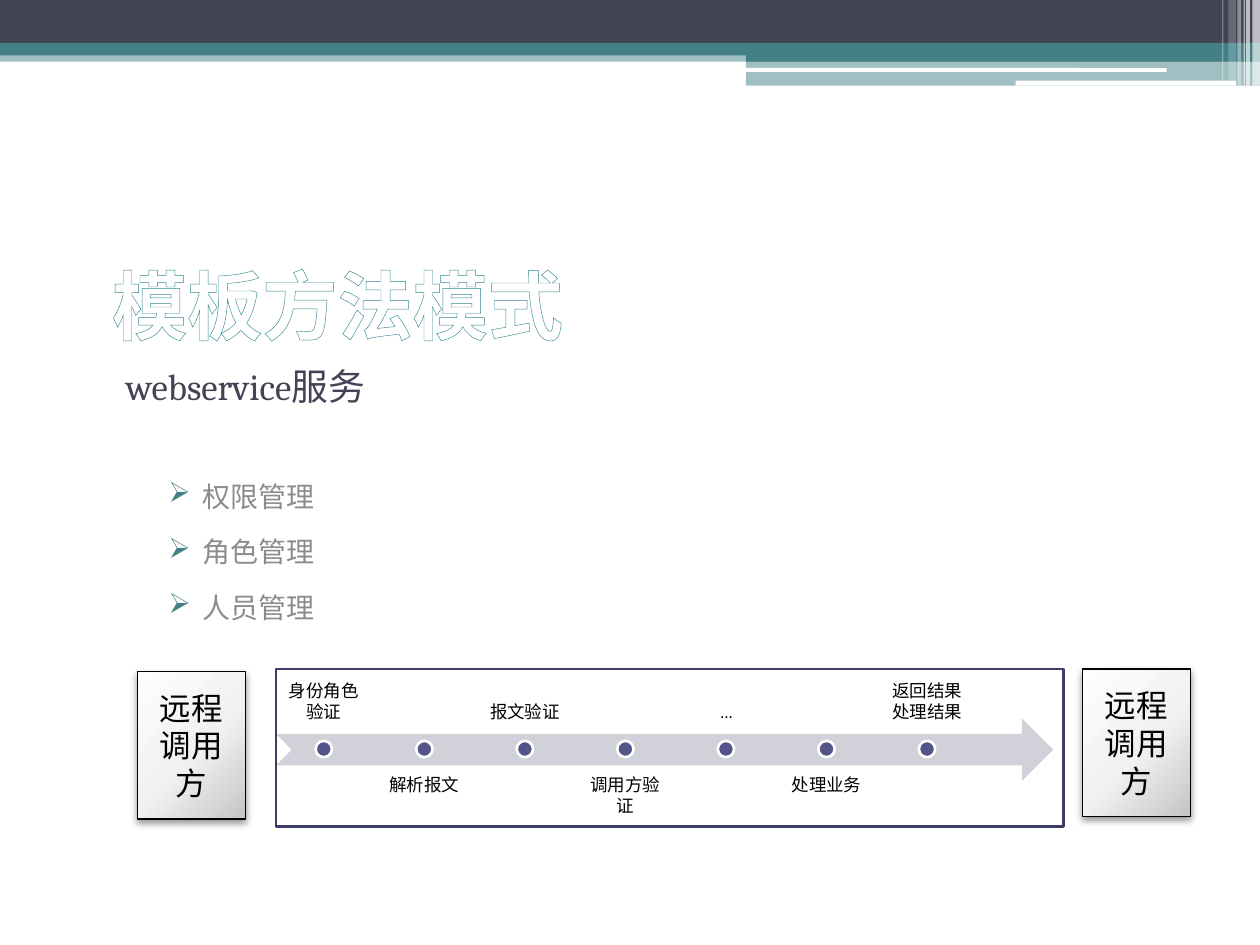
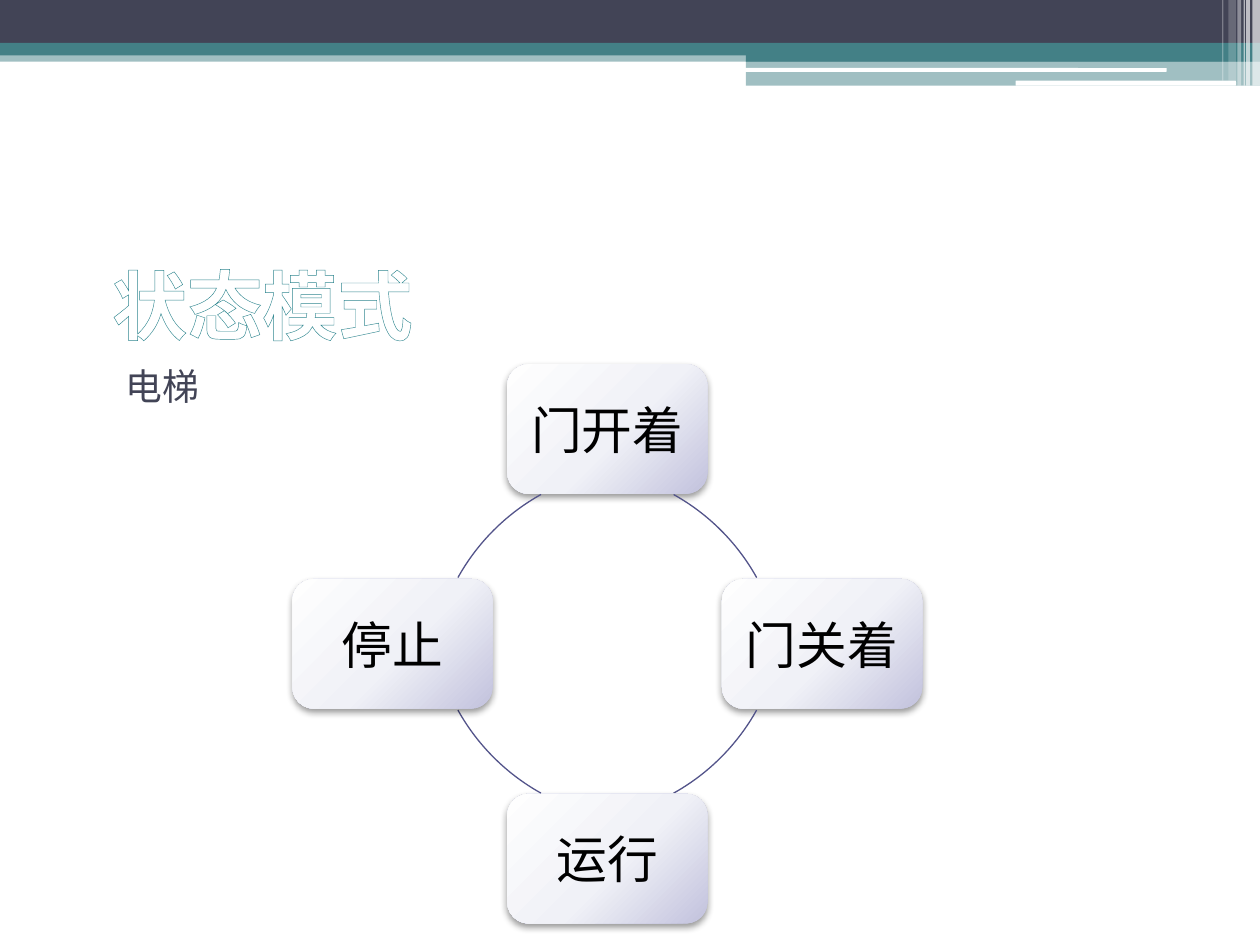
import math
from dataclasses import dataclass

import lxml.etree
import pptx
import pptx.dml.color
import pptx.enum.shapes
import pptx.enum.text
import pptx.oxml.ns
import pptx.util

SHAPE = pptx.enum.shapes.MSO_SHAPE
ALIGN = pptx.enum.text.PP_ALIGN
ANCHOR = pptx.enum.text.MSO_ANCHOR
COLUMNS, ROWS = 100, 75  # square grid cells over the whole slide


@dataclass(frozen=True)
class Theme:
    navy: str = "424456"
    teal: str = "438086"
    outline: str = "308790"
    white: str = "FFFFFF"
    black: str = "000000"
    grey: str = "8C8C8C"
    violet: str = "53548A"
    frame: str = "3D3E66"
    arrow: str = "D1D1DA"
    grey_sheen: tuple = ((0, "FEFEFE"), (55, "F1F1F1"), (100, "C5C5C5"))
    violet_sheen: tuple = ((0, "FEFEFE"), (55, "F0F1F7"), (100, "C2C2DD"))
    heading_font: str = "Cabin"
    body_font: str = "Cambria"
    title: int = 43
    subtitle: int = 21
    bullet: int = 16
    step: int = 10
    caller: int = 18
    state: int = 29


def rgb(code):
    return pptx.dml.color.RGBColor.from_string(code)


def add_xml(parent, tag, **attributes):
    child = lxml.etree.SubElement(parent, pptx.oxml.ns.qn(tag))
    for name, value in attributes.items():
        child.set(name, str(value))
    return child


class Deck:
    def __init__(self, theme):
        self.theme = theme
        self.presentation = pptx.Presentation()
        self.presentation.slide_width = pptx.util.Inches(10)
        self.presentation.slide_height = pptx.util.Inches(7.5)
        self.slide = None

    def cells(self, left, top, width, height):
        column = self.presentation.slide_width / COLUMNS
        row = self.presentation.slide_height / ROWS
        return [round(n * unit) for n, unit in
                zip((left, top, width, height), (column, row, column, row))]

    def shape(self, kind, box, fill=None, opacity=100, line=None, weight=1.5):
        shape = self.slide.shapes.add_shape(kind, *self.cells(*box))
        shape.shadow.inherit = False
        if fill:
            shape.fill.solid()
            shape.fill.fore_color.rgb = rgb(fill)
            if opacity < 100:
                colour = shape._element.spPr.find(".//" + pptx.oxml.ns.qn("a:srgbClr"))
                add_xml(colour, "a:alpha", val=opacity * 1000)
        else:
            shape.fill.background()
        if line:
            shape.line.color.rgb = rgb(line)
            shape.line.width = pptx.util.Pt(weight)
        else:
            shape.line.fill.background()
        return shape

    def raised(self, kind, box, sheen, text, size, inset, line=None):
        """A shaded card with a soft shadow and centred text."""
        card = self.shape(kind, box, line=line, weight=0.75)
        properties = card._element.spPr
        gradient = lxml.etree.Element(pptx.oxml.ns.qn("a:gradFill"), rotWithShape="1")
        stops = add_xml(gradient, "a:gsLst")
        for position, colour in sheen:
            stop = add_xml(stops, "a:gs", pos=position * 1000)
            add_xml(stop, "a:srgbClr", val=colour)
        circle = add_xml(gradient, "a:path", path="circle")
        add_xml(circle, "a:fillToRect", l=-40000, t=-90000, r=140000, b=190000)
        properties.replace(properties.find(pptx.oxml.ns.qn("a:noFill")), gradient)
        effects = properties.find(pptx.oxml.ns.qn("a:effectLst"))
        shadow = add_xml(effects, "a:outerShdw", blurRad=pptx.util.Pt(4.1),
                         dist=pptx.util.Pt(2), dir=90 * 60000, rotWithShape=0)
        add_xml(add_xml(shadow, "a:srgbClr", val=self.theme.black), "a:alpha", val=40000)
        self.frame_setup(card.text_frame, ANCHOR.MIDDLE, inset)
        self.paragraph(card.text_frame, text, size, self.theme.black, align=ALIGN.CENTER)

    def frame_setup(self, frame, anchor, inset=None):
        frame.word_wrap = True
        frame.vertical_anchor = anchor
        if inset is not None:
            frame.margin_left = frame.margin_right = pptx.util.Inches(inset)
            frame.margin_top = frame.margin_bottom = pptx.util.Inches(inset)

    def text_box(self, box, anchor=ANCHOR.TOP, inset=None):
        frame = self.slide.shapes.add_textbox(*self.cells(*box)).text_frame
        self.frame_setup(frame, anchor, inset)
        return frame

    def paragraph(self, frame, text, size, colour, align=ALIGN.LEFT, before=0,
                  indent=0, hanging=0, bullet=None):
        first = frame.paragraphs[0]
        line = first if not first.runs else frame.add_paragraph()
        line.add_run().text = text
        line.alignment = align
        line.space_before = pptx.util.Pt(before)
        properties = line._p.get_or_add_pPr()
        properties.set("marL", str(pptx.util.Inches(indent)))
        properties.set("indent", str(pptx.util.Inches(-hanging)))
        if bullet:
            line.level = 1
            line.line_spacing = 1.5
            add_xml(add_xml(properties, "a:buClr"), "a:srgbClr", val=self.theme.teal)
            add_xml(properties, "a:buChar", char=bullet)
        line.font.name = self.theme.body_font
        line.font.size = pptx.util.Pt(size)
        line.font.color.rgb = rgb(colour)
        return line

    def banner(self):
        t = self.theme
        # Full-width bands and the stepped block at the right
        for box, colour, opacity in (
                ((0, 4, 100, 0.9), t.teal, 50),
                ((0, 0, 100, 3.4), t.navy, 100),
                ((0, 3.4, 100, 1), t.teal, 100),
                ((59.2, 3.9, 40.8, 1), t.teal, 100),
                ((59.2, 4.8, 40.8, 2), t.teal, 50)):
            self.shape(SHAPE.RECTANGLE, box, colour, opacity)
        for box in ((59.1, 5.4, 33.5, 0.3), (80.6, 6.4, 17.5, 0.4)):
            self.shape(SHAPE.ROUNDED_RECTANGLE, box, t.white)
        # Translucent stripes in the corner
        for left, width, height, opacity in (
                (99.4, 0.6, 6.8, 65), (98.9, 0.3, 6.8, 65), (98.7, 0.1, 6.8, 60),
                (98.2, 0.3, 6.8, 40), (97.5, 0.6, 6.4, 20), (97, 0.1, 6.4, 30)):
            self.shape(SHAPE.RECTANGLE, (left, 0, width, height), t.white, opacity)

    def new_slide(self, title, subtitle, body_height):
        """Start a slide with banner, title and subtitle; return the body text."""
        t = self.theme
        self.slide = self.presentation.slides.add_slide(
            self.presentation.slide_layouts[6])
        self.banner()
        heading = self.paragraph(self.text_box((7.9, 13.3, 85, 14.9), ANCHOR.BOTTOM),
                                 title, t.title, t.white)
        heading.font.name = t.heading_font
        heading.font.bold = True
        letters = heading.runs[0]
        letters.font.color.rgb = rgb(t.white)
        outline = lxml.etree.Element(pptx.oxml.ns.qn("a:ln"), w=str(pptx.util.Pt(1)))
        add_xml(add_xml(outline, "a:solidFill"), "a:srgbClr", val=t.outline)
        letters._r.get_or_add_rPr().insert(0, outline)
        body = self.text_box((7.9, 28.4, 85, body_height))
        self.paragraph(body, subtitle, t.subtitle, t.navy, before=3, indent=0.11)
        return body

    def timeline(self, steps, left, top, pitch):
        t = self.theme
        self.shape(SHAPE.NOTCHED_RIGHT_ARROW, (left, top + 3.9, 61.7, 5), t.arrow)
        for i, step in enumerate(steps):
            x = left + i * pitch
            below = i % 2 == 1
            label = self.text_box((x, top + (7.5 if below else 0), 7.6, 5),
                                  ANCHOR.TOP if below else ANCHOR.BOTTOM, 0.08)
            self.paragraph(label, step, t.step, t.black, align=ALIGN.CENTER)
            self.shape(SHAPE.OVAL, (x + 3.15, top + 5.7, 1.3, 1.3), t.violet,
                       line=t.white)

    def cycle(self, states, centre_x, centre_y, radius):
        t = self.theme
        width, height = 15.9, 10.3
        turn = 360 / len(states)
        for i, state in enumerate(states):
            angle = math.radians(i * turn - 90)
            x = centre_x + radius * math.cos(angle)
            y = centre_y + radius * math.sin(angle)
            self.raised(SHAPE.ROUNDED_RECTANGLE,
                        (x - width / 2, y - height / 2, width, height),
                        t.violet_sheen, state, t.state, 0.05)
            # Each link is an arc whose centre is pulled inwards
            inward = math.radians(i * turn + 135)
            x = centre_x + 4.3 * math.cos(inward)
            y = centre_y + 4.3 * math.sin(inward)
            link = self.shape(SHAPE.ARC,
                              (x - radius, y - radius, 2 * radius, 2 * radius),
                              line=t.violet, weight=0.75)
            for side, degrees in enumerate((299.14, 330.86)):
                # Adjustments count 100000ths, angles 60000ths of a degree
                link.adjustments[side] = (degrees + i * turn) % 360 * 0.6


def template_method_slide(deck):
    t = deck.theme
    body = deck.new_slide("模板方法模式", "webservice服务", 26.3)
    for i, duty in enumerate(("权限管理", "角色管理", "人员管理")):
        deck.paragraph(body, duty, t.bullet, t.grey, before=3 if i else 31,
                       indent=0.72, hanging=0.27, bullet="➢")
    # Processing steps between the two callers
    deck.timeline(("身份角色验证", "解析报文", "报文验证", "调用方验证", "…",
                   "处理业务", "返回结果处理结果"), 21.9, 53.1, 7.98)
    for left, top in ((10.9, 53.3), (85.9, 53.1)):
        deck.raised(SHAPE.RECTANGLE, (left, top, 8.6, 11.7), t.grey_sheen,
                    "远程调用方", t.caller, 0.1, line=t.black)
    deck.shape(SHAPE.RECTANGLE, (21.9, 53.1, 62.5, 12.5), line=t.frame)


def state_slide(deck):
    deck.new_slide("状态模式", "电梯", 16.5)
    deck.cycle(("门开着", "门关着", "运行", "停止"), 48.2, 51.1, 17.05)


def main():
    deck = Deck(Theme())
    template_method_slide(deck)
    state_slide(deck)
    deck.presentation.save("out.pptx")


if __name__ == "__main__":
    main()
